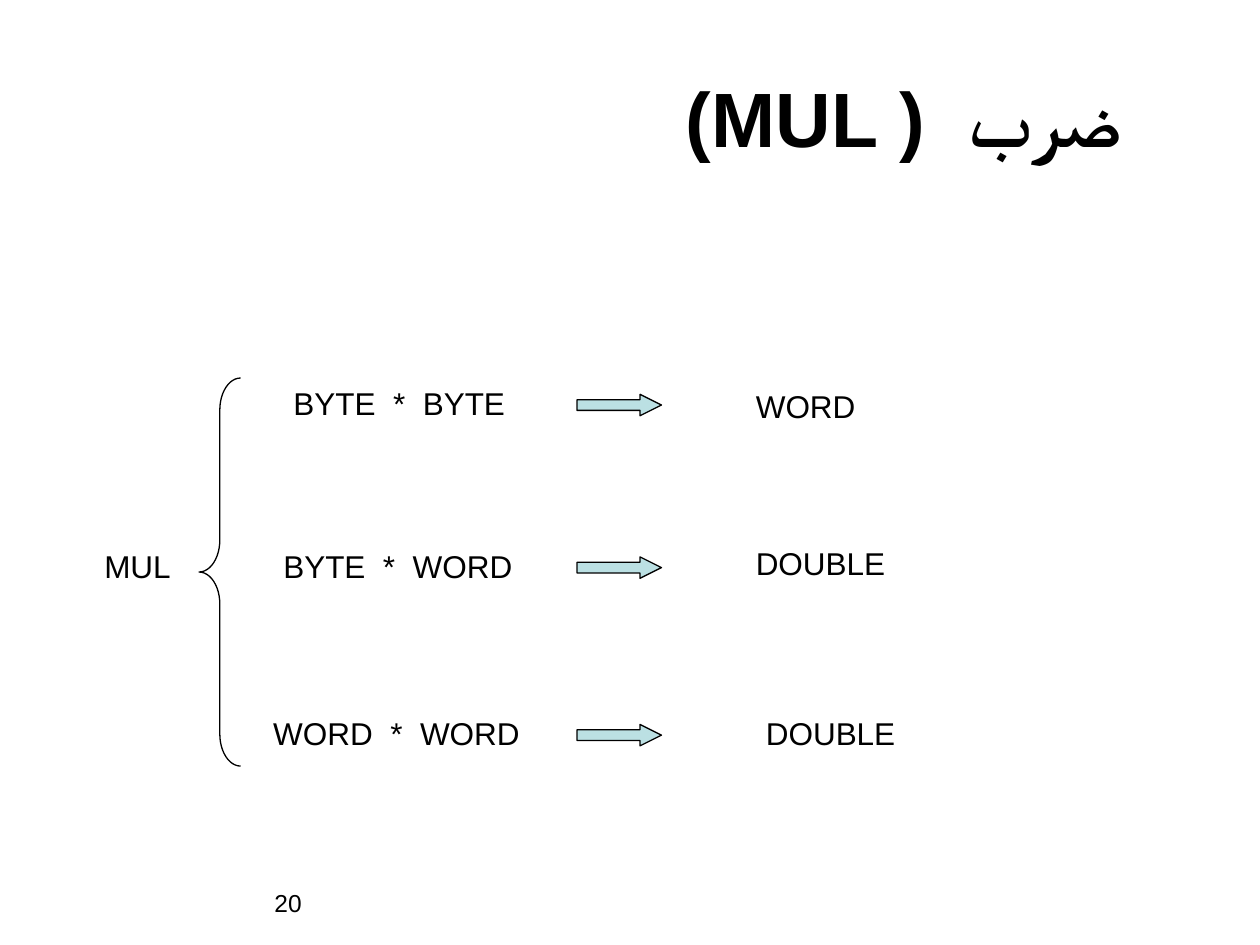
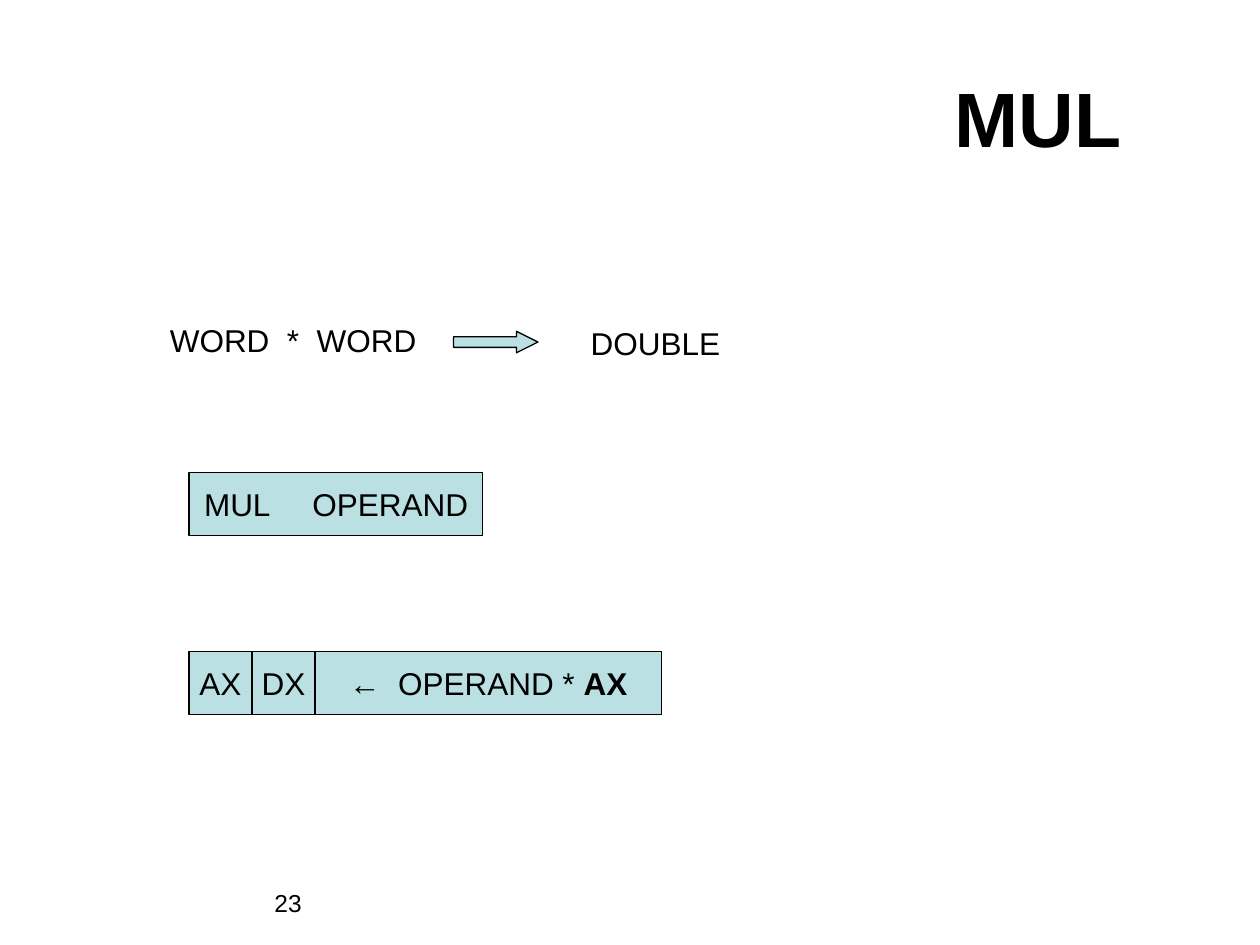
from dataclasses import dataclass

from lxml import etree
from pptx import Presentation
from pptx.dml.color import RGBColor
from pptx.enum.shapes import MSO_SHAPE
from pptx.enum.text import MSO_ANCHOR, MSO_AUTO_SIZE, PP_ALIGN
from pptx.oxml.ns import qn
from pptx.util import Emu, Pt

# Shared look
PX = 9144  # 100 px to the inch
FONT = "Arial"
BLACK = "000000"
PALE_TEAL = "BBE0E3"
TITLE_SIZE, BODY_SIZE, NUMBER_SIZE = 44, 18, 14
LINE_WIDTH = 0.75
LABEL_HEIGHT = 40
ARROW_DROP = 13  # from the top of a product label to its arrow
CELL = 50

LEFT, CENTER, RIGHT = PP_ALIGN.LEFT, PP_ALIGN.CENTER, PP_ALIGN.RIGHT
TOP, MIDDLE = MSO_ANCHOR.TOP, MSO_ANCHOR.MIDDLE
FIT_SHAPE = MSO_AUTO_SIZE.SHAPE_TO_FIT_TEXT
RECTANGLE = MSO_SHAPE.RECTANGLE
RIGHT_ARROW = MSO_SHAPE.RIGHT_ARROW
LEFT_BRACE = MSO_SHAPE.LEFT_BRACE


@dataclass
class Area:
    left: int
    top: int
    width: int
    height: int

    def emu(self) -> list[Emu]:
        return [Emu(n * PX) for n in (self.left, self.top, self.width, self.height)]


@dataclass
class Span:
    text: str
    bold: bool = False


@dataclass
class Label:
    text: str
    left: int
    top: int
    width: int


@dataclass
class Product:
    factors: Label
    arrow_left: int
    result: Label


@dataclass
class Register:
    spans: list[Span]
    width: int


TITLE_AREA = Area(0, 30, 900, 125)
NUMBER_AREA = Area(208, 700, 150, 50)


def color(value: str) -> RGBColor:
    return RGBColor.from_string(value)


# Text
def write(frame, spans: list[Span], size: int, align=LEFT, anchor=TOP, wrap=True):
    frame.word_wrap = wrap
    frame.vertical_anchor = anchor
    para = frame.paragraphs[0]
    para.alignment = align
    for item in spans:
        span = para.add_run()
        span.text = item.text
        span.font.name = FONT
        span.font.size = Pt(size)
        span.font.bold = item.bold
        span.font.color.rgb = color(BLACK)
        script_font = etree.SubElement(span.font._element, qn("a:cs"))
        script_font.set("typeface", FONT)
    return para


def add_label(page, label: Label) -> None:
    area = Area(label.left, label.top, label.width, LABEL_HEIGHT)
    box = page.shapes.add_textbox(*area.emu())
    write(box.text_frame, [Span(label.text)], BODY_SIZE, wrap=False)
    box.text_frame.auto_size = FIT_SHAPE


# Shapes
def add_outline(page, kind, area: Area, fill: str | None = PALE_TEAL):
    shape = page.shapes.add_shape(kind, *area.emu())
    shape.shadow.inherit = False
    if fill is None:
        shape.fill.background()
    else:
        shape.fill.solid()
        shape.fill.fore_color.rgb = color(fill)
    shape.line.color.rgb = color(BLACK)
    shape.line.width = Pt(LINE_WIDTH)
    return shape


def add_product(page, product: Product) -> None:
    add_label(page, product.factors)
    arrow_top = product.factors.top + ARROW_DROP
    arrow = add_outline(page, RIGHT_ARROW, Area(product.arrow_left, arrow_top, 67, 17))
    arrow.adjustments[0] = 0.5
    arrow.adjustments[1] = 1.0
    add_label(page, product.result)


def add_instruction(page, area: Area, opcode: str, operand: str) -> None:
    box = add_outline(page, RECTANGLE, area)
    box.text_frame.margin_left = Emu(12 * PX)
    para = write(box.text_frame, [Span(f"{opcode}\t{operand}")], BODY_SIZE, anchor=MIDDLE)
    stops = etree.SubElement(para._p.get_or_add_pPr(), qn("a:tabLst"))
    etree.SubElement(stops, qn("a:tab"), pos=str(86 * PX), algn="l")


def add_registers(page, left: int, top: int, registers: list[Register]) -> None:
    for register in registers:
        box = add_outline(page, RECTANGLE, Area(left, top, register.width, CELL))
        write(box.text_frame, register.spans, BODY_SIZE, CENTER, MIDDLE, wrap=False)
        left += register.width


# Page frame: title and number
def add_page(deck, title: str, number: int):
    page = deck.slides.add_slide(deck.slide_layouts[6])
    number_box = page.shapes.add_textbox(*NUMBER_AREA.emu())
    write(number_box.text_frame, [Span(str(number))], NUMBER_SIZE)
    title_box = page.shapes.add_textbox(*TITLE_AREA.emu())
    para = write(title_box.text_frame, [Span(title, True)], TITLE_SIZE, RIGHT, MIDDLE)
    para._p.get_or_add_pPr().set("rtl", "1")
    return page


# Slide: operand sizes of MUL
def build_sizes(deck) -> None:
    page = add_page(deck, "ضرب  ( MUL)", 20)
    add_label(page, Label("MUL", 73, 429, 73))
    brace = add_outline(page, LEFT_BRACE, Area(158, 300, 33, 308), fill=None)
    brace.adjustments[0] = 0.77
    brace.adjustments[1] = 0.5
    products = [
        Product(Label("BYTE  *  BYTE", 223, 300, 188), 458, Label("WORD", 590, 302, 99)),
        Product(Label("BYTE  *  WORD", 215, 429, 202), 458, Label("DOUBLE", 590, 427, 123)),
        Product(Label("WORD  *  WORD", 207, 562, 216), 458, Label("DOUBLE", 598, 562, 123)),
    ]
    for product in products:
        add_product(page, product)


# Slide: word by word multiplication
def build_word_product(deck) -> None:
    page = add_page(deck, "MUL", 23)
    add_product(
        page,
        Product(Label("WORD  *  WORD", 125, 250, 216), 360, Label("DOUBLE", 459, 252, 123)),
    )
    add_instruction(page, Area(150, 375, 233, CELL), "MUL", "OPERAND")
    add_registers(page, 150, 517, [
        Register([Span("AX")], CELL),
        Register([Span("DX")], CELL),
        Register([Span("←  OPERAND * "), Span("AX", True)], 275),
    ])


def main() -> None:
    deck = Presentation()
    deck.slide_width = Emu(1000 * PX)
    deck.slide_height = Emu(750 * PX)
    build_sizes(deck)
    build_word_product(deck)
    deck.save("out.pptx")


if __name__ == "__main__":
    main()
